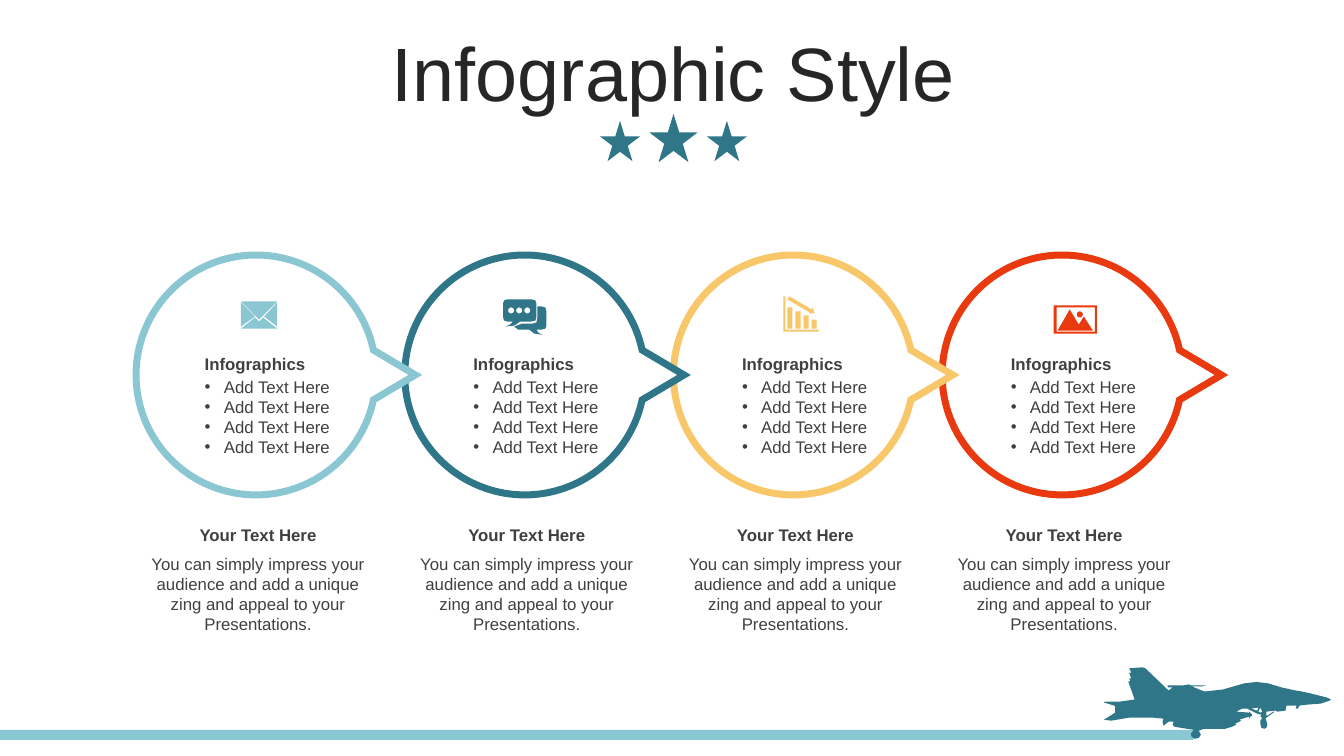
import math
from dataclasses import dataclass

from lxml import etree
from pptx import Presentation
from pptx.dml.color import RGBColor
from pptx.enum import shapes, text
from pptx.oxml import ns
from pptx.util import Inches, Pt


@dataclass(frozen=True)
class Theme:
    sky: str = "8AC7D3"
    teal: str = "307689"
    amber: str = "F7C76A"
    red: str = "E93A0F"
    white: str = "FFFFFF"
    title_color: str = "262626"
    body_color: str = "404040"
    font: str = "Arial"
    title_size: int = 54
    body_size: int = 12
    ring_width: int = 5


theme = Theme()
prs = Presentation()
prs.slide_width, prs.slide_height = Inches(13.33), Inches(7.5)
slide = prs.slides.add_slide(prs.slide_layouts[5])


def draw_outline(contours, color):
    """Fill closed contours, given in inches, as one shape."""
    builder = None
    for contour in contours:
        points = [(Inches(x), Inches(y)) for x, y in contour]
        if builder is None:
            builder = slide.shapes.build_freeform(*points[0])
        else:
            builder.move_to(*points[0])
        builder.add_line_segments(points[1:], close=True)
    outline = builder.convert_to_shape()
    outline.shadow.inherit = False
    outline.fill.solid()
    outline.fill.fore_color.rgb = RGBColor.from_string(color)
    outline.line.fill.background()
    return outline


def write_text(left, top, width, height, lines, bold=False, align=text.PP_ALIGN.LEFT,
               anchor=text.MSO_ANCHOR.TOP, inset=0.1):
    frame = slide.shapes.add_textbox(
        Inches(left), Inches(top), Inches(width), Inches(height)).text_frame
    frame.word_wrap = True
    frame.vertical_anchor = anchor
    frame.margin_left = Inches(inset)
    frame.text = "\n".join(lines)
    for paragraph in frame.paragraphs:
        paragraph.alignment = align
        font = paragraph.runs[0].font
        font.name, font.size, font.bold = theme.font, Pt(theme.body_size), bold
        font.color.rgb = RGBColor.from_string(theme.body_color)
    return frame


# Title
title = slide.shapes.title
title.left, title.top, title.width, title.height = map(Inches, (0.35, 0.37, 12.66, 0.79))
title.text_frame.text = "Infographic Style"
title.text_frame.auto_size = text.MSO_AUTO_SIZE.NONE
title.text_frame.vertical_anchor = text.MSO_ANCHOR.MIDDLE
heading = title.text_frame.paragraphs[0]
heading.alignment, heading.line_spacing = text.PP_ALIGN.CENTER, 0.9
heading_font = heading.runs[0].font
heading_font.name, heading_font.size = theme.font, Pt(theme.title_size)
heading_font.color.rgb = RGBColor.from_string(theme.title_color)

# Stars under the title and bar along the bottom
STAR, BAR = shapes.MSO_SHAPE.STAR_5_POINT, shapes.MSO_SHAPE.RECTANGLE
for kind, left, top, width, height, color in (
    (STAR, 6.44, 1.13, 0.48, 0.48, theme.teal),
    (STAR, 7.01, 1.2, 0.4, 0.4, theme.teal),
    (STAR, 5.95, 1.2, 0.4, 0.4, theme.teal),
    (BAR, 0, 7.24, 11.84, 0.1, theme.sky),
):
    ornament = slide.shapes.add_shape(
        kind, Inches(left), Inches(top), Inches(width), Inches(height))
    ornament.shadow.inherit = False
    ornament.fill.solid()
    ornament.fill.fore_color.rgb = RGBColor.from_string(color)
    ornament.line.fill.background()

# Fighter jet: body, then two gaps in the landing gear
jet = [
    (10.95, 7.14), (11.02, 7.15), (11.2, 7.12), (11.28, 7.12), (11.44, 7.12), (11.54, 7.13),
    (11.53, 7.16), (11.54, 7.2), (11.59, 7.16), (11.64, 7.16), (11.63, 7.19), (11.65, 7.21),
    (11.77, 7.23), (11.84, 7.24), (11.81, 7.28), (11.82, 7.31), (11.85, 7.33), (11.89, 7.32),
    (11.91, 7.29), (11.89, 7.25), (11.94, 7.23), (12.07, 7.23), (12.15, 7.23), (12.22, 7.21),
    (12.26, 7.19), (12.25, 7.18), (12.31, 7.15), (12.29, 7.14), (12.39, 7.11), (12.39, 7.13),
    (12.4, 7.11), (12.42, 7.1), (12.42, 7.09), (12.39, 7.06), (12.39, 7.07), (12.26, 7.06),
    (12.32, 7.03), (12.37, 7.03), (12.47, 7.08), (12.51, 7.09), (12.5, 7.11), (12.52, 7.12),
    (12.5, 7.15), (12.5, 7.18), (12.51, 7.22), (12.54, 7.23), (12.56, 7.22), (12.57, 7.19),
    (12.56, 7.15), (12.55, 7.13), (12.56, 7.12), (12.63, 7.07), (12.64, 7.06), (12.63, 7.06),
    (12.57, 7.1), (12.56, 7.1), (12.56, 7.06), (12.65, 7.05), (12.67, 7.06), (12.75, 7.05),
    (12.76, 7), (12.86, 7), (12.85, 7.03), (12.87, 7.03), (12.89, 7), (12.97, 6.99),
    (13.1, 6.98), (13.19, 6.95), (13.2, 6.94), (13.16, 6.92), (13, 6.88), (12.91, 6.86),
    (12.85, 6.85), (12.71, 6.82), (12.58, 6.78), (12.46, 6.765), (12.34, 6.78), (12.2, 6.82),
    (12.13, 6.84), (11.95, 6.86), (11.92, 6.85), (11.82, 6.81), (11.92, 6.81), (11.96, 6.8),
    (11.81, 6.8), (11.79, 6.79), (11.73, 6.8), (11.58, 6.8), (11.58, 6.82), (11.63, 6.82),
    (11.59, 6.85), (11.36, 6.63), (11.33, 6.62), (11.2, 6.63), (11.22, 6.67), (11.2, 6.68),
    (11.22, 6.73), (11.2, 6.73), (11.21, 6.76), (11.19, 6.76), (11.25, 6.93), (11.25, 6.94),
    (11.11, 6.96), (10.96, 6.96), (10.95, 6.97), (11.05, 7), (11.06, 7.01), (11.06, 7.07),
]
gear_gaps = [
    [(12.41, 7.03), (12.48, 7.02), (12.47, 7.05)],
    [(12.52, 7.06), (12.5, 7.07), (12.48, 7.06), (12.5, 7.02)],
]
draw_outline([jet, *gear_gaps], theme.teal)

# Four linked rings with their texts, drawn right to left so each tip overlaps the next
FIRST_CENTER, CENTER_Y, PITCH, RADIUS, REACH = 2.54, 3.72, 2.665, 1.19, 1.58
for step, color in reversed(list(enumerate((theme.sky, theme.teal, theme.amber, theme.red)))):
    center = FIRST_CENTER + step * PITCH
    arc = [(center + RADIUS * math.cos(math.radians(angle)),
            CENTER_Y + RADIUS * math.sin(math.radians(angle))) for angle in range(12, 349, 2)]
    ring = draw_outline([[(center + REACH, CENTER_Y), *arc]], theme.white)
    ring.line.color.rgb = RGBColor.from_string(color)
    ring.line.width = Pt(theme.ring_width)
    etree.SubElement(ring.line._get_or_add_ln(), ns.qn("a:miter"), lim="800000")

    write_text(center - 0.71, 3.46, 1.69, 0.3, ["Infographics"], bold=True,
               anchor=text.MSO_ANCHOR.MIDDLE, inset=0.2)
    points = write_text(center - 0.71, 3.68, 1.69, 0.91, ["Add Text Here"] * 4,
                        anchor=text.MSO_ANCHOR.MIDDLE, inset=0.2)
    for point in points.paragraphs:
        properties = point._p.get_or_add_pPr()
        properties.set("marL", str(Inches(0.19)))
        properties.set("indent", str(-Inches(0.19)))
        etree.SubElement(properties, ns.qn("a:buFont"), typeface=theme.font)
        etree.SubElement(properties, ns.qn("a:buChar"), char="•")

    write_text(center - 1.18, 5.16, 2.4, 0.3, ["Your Text Here"], bold=True,
               align=text.PP_ALIGN.CENTER)
    write_text(center - 1.18, 5.44, 2.4, 0.91,
               ["You can simply impress your audience and add a unique zing "
                "and appeal to your Presentations."], align=text.PP_ALIGN.CENTER)

# Icons: envelope, speech bubbles, falling chart, landscape
envelope = [
    [(2.61, 3.15), (2.75, 3.26), (2.39, 3.26), (2.53, 3.15), (2.57, 3.19)],
    [(2.75, 3), (2.75, 3.24), (2.62, 3.14)],
    [(2.39, 3), (2.53, 3.14), (2.39, 3.24)],
    [(2.39, 2.99), (2.75, 2.99), (2.57, 3.17)],
]
*dots, sun = [
    [(x + r * math.cos(math.radians(a)), y + r * math.sin(math.radians(a)))
     for a in range(0, 360, 20)]
    for x, y, r in ((5.07, 3.08, 0.03), (5.15, 3.08, 0.03), (5.23, 3.08, 0.03),
                    (10.71, 3.12, 0.03))
]
bubbles = [
    [(5.33, 3.04), (5.37, 3.04), (5.41, 3.05), (5.42, 3.09), (5.42, 3.23), (5.41, 3.26),
     (5.37, 3.27), (5.32, 3.27), (5.34, 3.3), (5.38, 3.32), (5.3, 3.31), (5.25, 3.27),
     (5.14, 3.27), (5.1, 3.24), (5.18, 3.21), (5.28, 3.21), (5.32, 3.2), (5.33, 3.16)],
    [(5.03, 2.97), (5.27, 2.97), (5.31, 2.98), (5.32, 3.01), (5.32, 3.15), (5.31, 3.18),
     (5.27, 3.19), (5.16, 3.19), (5.1, 3.23), (5.01, 3.24), (5.06, 3.22), (5.09, 3.19),
     (5.03, 3.19), (5, 3.18), (4.99, 3.15), (4.99, 3.01), (5, 2.98)],
]
bars = [[(x, y), (x + 0.05, y), (x + 0.05, 3.26), (x, 3.26)]
        for x, y in ((7.81 + 0.08 * n, 3.05 + 0.04 * n) for n in range(4))]
trend = [(7.83, 2.94), (8.05, 3.07), (8.06, 3.05), (8.08, 3.11), (8.02, 3.11),
         (8.03, 3.1), (7.81, 2.97)]
axes = [(7.77, 2.94), (7.79, 2.94), (7.79, 3.27), (8.12, 3.27), (8.12, 3.29), (7.77, 3.29)]
mountains = [(10.61, 3.07), (10.7, 3.22), (10.75, 3.14), (10.84, 3.28), (10.49, 3.28)]
borders = [[(x1, y1), (x2, y1), (x2, y2), (x1, y2)]
           for x1, y1, x2, y2 in ((10.45, 3.03, 10.88, 3.31), (10.48, 3.05, 10.86, 3.29))]

for contours, color in (
    (envelope, theme.sky),
    (bubbles + dots, theme.teal),
    (bars + [trend, axes], theme.amber),
    (borders + [mountains, sun], theme.red),
):
    draw_outline(contours, color)

prs.save("out.pptx")
